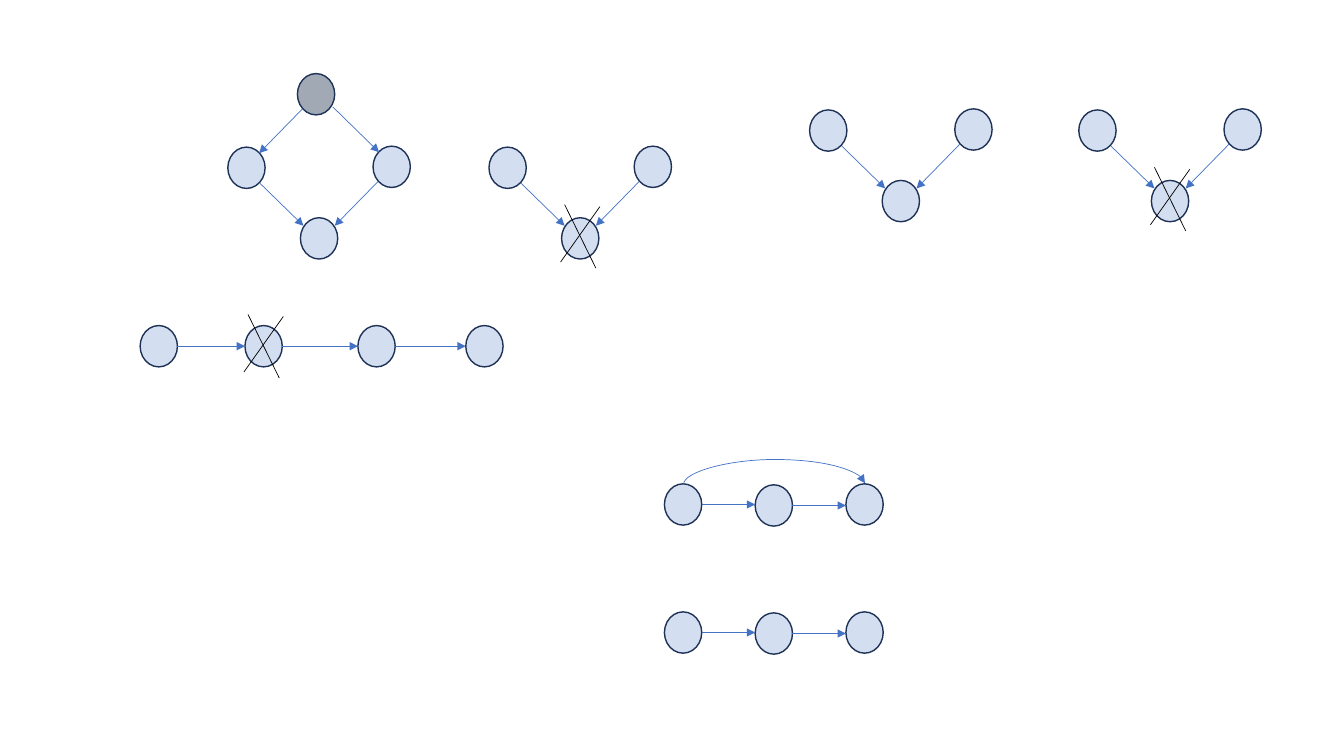
"""Build a slide of small node graphs, some with a crossed-out node."""
from lxml import etree
from pptx import Presentation
from pptx.enum import shapes as sh
from pptx.oxml import ns
from pptx.dml.color import RGBColor
from pptx.util import Inches, Pt

COLORS = {"blue": "4472C4", "slate": "44546A", "edge": "1E3256", "black": "000000"}
WIDE, HIGH = 0.37, 0.41


def color(name):
    """Return the named colour."""
    return RGBColor.from_string(COLORS[name])


def node(group, x, y, fill="blue", alpha=23):
    """Draw a see-through circle with its top left corner at x, y."""
    oval = group.shapes.add_shape(
        sh.MSO_SHAPE.OVAL, Inches(x), Inches(y), Inches(WIDE), Inches(HIGH))
    oval.shadow.inherit = False
    oval.fill.solid()
    oval.fill.fore_color.rgb = color(fill)
    tint = oval.fill._xPr.find(".//" + ns.qn("a:srgbClr"))
    etree.SubElement(tint, ns.qn("a:alpha"), val=str(alpha * 1000))
    oval.line.color.rgb = color("edge")
    oval.line.width = Pt(1)
    return oval


def line(group, start, end, tone="blue", head=True, kind=sh.MSO_CONNECTOR.STRAIGHT):
    """Draw a thin connector, with an arrowhead if head is set."""
    link = group.shapes.add_connector(kind, *(Inches(v) for v in (*start, *end)))
    link.line.color.rgb = color(tone)
    link.line.width = Pt(0.5)
    if head:
        etree.SubElement(link.line._get_or_add_ln(), ns.qn("a:tailEnd"), type="triangle")
    etree.SubElement(link._element.spPr, ns.qn("a:effectLst"))
    return link


def cross(group, x, y):
    """Strike out the node at x, y."""
    line(group, (x + 0.03, y - 0.13), (x + 0.34, y + 0.5), "black", False)
    line(group, (x + 0.38, y - 0.11), (x - 0.01, y + 0.44), "black", False)


def vee(group, x, y, struck=False):
    """Draw two nodes that point at one node below them."""
    for dx, dy in ((0, 0), (1.44, -0.01), (0.72, 0.7)):
        node(group, x + dx, y + dy)
    line(group, (x + 0.32, y + 0.36), (x + 0.75, y + 0.78))
    line(group, (x + 1.49, y + 0.34), (x + 1.06, y + 0.78))
    if struck:
        cross(group, x + 0.72, y + 0.7)


def diamond(group, x, y):
    """Draw a vee with a grey source node above it."""
    vee(group, x, y)
    node(group, x + 0.69, y - 0.73, "slate", 50)
    line(group, (x + 1.04, y - 0.4), (x + 1.5, y + 0.05))
    line(group, (x + 0.74, y - 0.38), (x + 0.31, y + 0.06))


def chain(group, spots):
    """Draw nodes in a row, each pointing at the next."""
    ovals = [node(group, x, y) for x, y in spots]
    for (x, y), (right, _) in zip(spots, spots[1:]):
        mid = y + HIGH / 2
        line(group, (x + WIDE, mid), (right, mid))
    return ovals


def arc(group, first, last, x, end, y, rise=0.25, thin=0.01):
    """Join the tops of two nodes with a curve that rises above them."""
    link = line(group, (x, y), (end, y), kind=sh.MSO_CONNECTOR.CURVE)
    link.begin_connect(first, 0)
    link.end_connect(last, 0)
    span = end - x
    link.left, link.top = Inches((x + end - thin) / 2), Inches(y - span / 2)
    link.width, link.height = Inches(thin), Inches(span)
    frame = link._element.spPr.find(ns.qn("a:xfrm"))
    for key, val in (("rot", "5400000"), ("flipH", "1"), ("flipV", "1")):
        frame.set(key, val)
    guides = link._element.spPr.find(ns.qn("a:prstGeom")).get_or_add_avLst()
    etree.SubElement(guides, ns.qn("a:gd"), name="adj1",
                     fmla=f"val {round(rise / thin * 100000)}")


def main():
    """Lay out every graph and save the deck."""
    deck = Presentation()
    deck.slide_width, deck.slide_height = Inches(13.33), Inches(7.5)
    slide = deck.slides.add_slide(deck.slide_layouts[6])
    new = slide.shapes.add_group_shape

    diamond(new(), 2.26, 1.46)
    vee(new(), 4.85, 1.46, struck=True)

    for y in (6.07, 4.8):
        trio = new()
        ovals = chain(trio, [(6.59, y), (7.49, y + 0.01), (8.39, y)])
    arc(trio, ovals[0], ovals[-1], 6.78, 8.58, 4.8)

    pair = new()
    vee(pair, 10.7, 1.09, struck=True)
    vee(pair, 8.03, 1.09)

    row = new()
    chain(row, [(x, 3.23) for x in (1.39, 2.43, 3.55, 4.62)])
    cross(row, 2.43, 3.25)

    deck.save("out.pptx")


if __name__ == "__main__":
    main()
